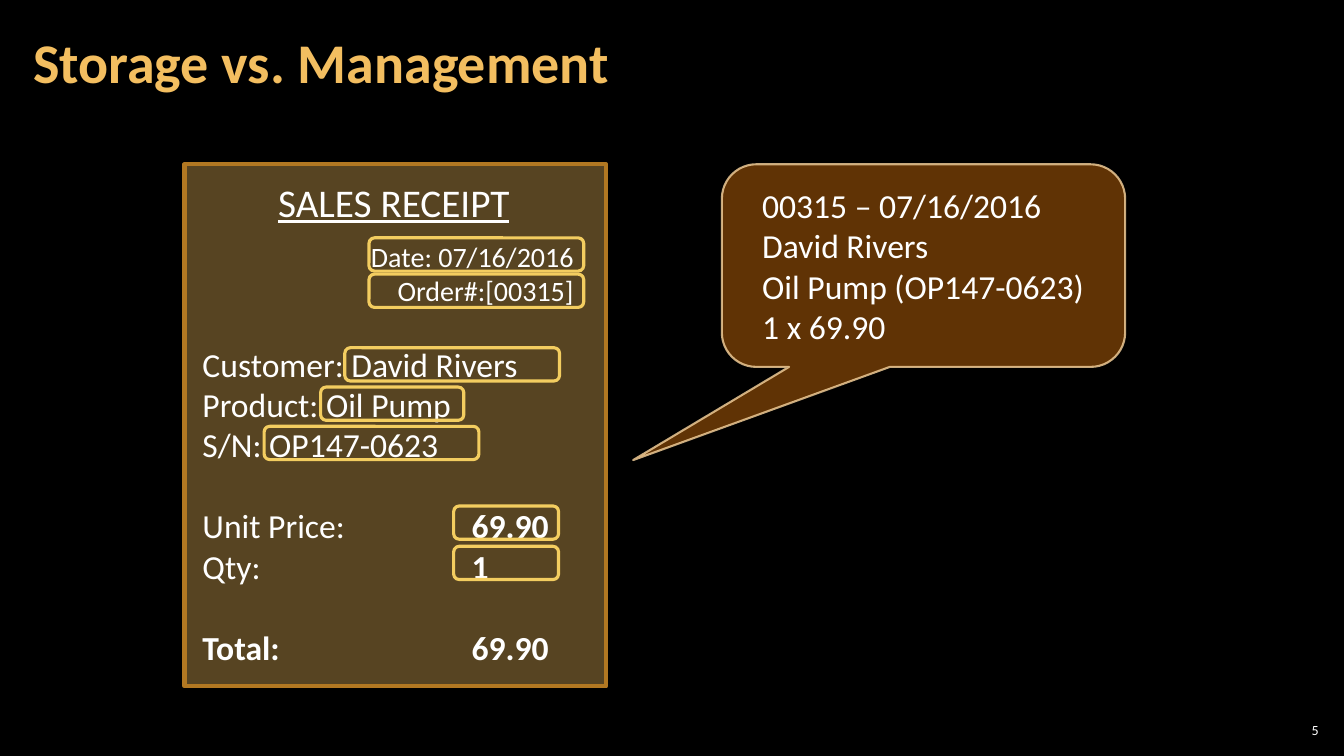
from dataclasses import dataclass, field
from typing import Any

from pptx import Presentation, util as u
from pptx.dml import color
from pptx.enum import shapes, text
from pptx.oxml import ns, xmlchemy

PX = 9144


@dataclass(frozen=True)
class Theme:
    font: str = "Calibri"
    background: str = "000000"
    ink: str = "FFFFFF"
    gold: str = "F3BE60"
    receipt_line: str = "B27822"
    callout: str = "663606"
    callout_line: str = "F8D49E"
    highlight: str = "F3CD60"
    title_size: int = 40
    heading_size: int = 28
    body_size: int = 24
    detail_size: int = 20
    number_size: int = 10
    gap: int = 29


@dataclass(frozen=True)
class Box:
    left: int
    top: int
    width: int
    height: int

    def emu(self) -> list[int]:
        return [side * PX for side in (self.left, self.top, self.width, self.height)]


@dataclass(frozen=True)
class Paint:
    value: str
    percent: int = 100


@dataclass(frozen=True)
class Line:
    label: str
    value: str = ""
    gap: int = 0
    label_bold: bool = False


@dataclass(frozen=True)
class TextBlock:
    box: Box
    lines: list[Line]
    size: int
    frame: dict[str, Any] = field(default_factory=dict)
    paragraph: dict[str, Any] = field(default_factory=dict)
    font: dict[str, Any] = field(default_factory=dict)
    tab: int = 0


THEME = Theme()
RIGHT = {"alignment": text.PP_ALIGN.RIGHT}
LEFT = {"alignment": text.PP_ALIGN.LEFT}


def margins(side: int, end: int) -> dict[str, int]:
    return {
        "margin_left": side * PX,
        "margin_right": side * PX,
        "margin_top": end * PX,
        "margin_bottom": end * PX,
    }


HIGHLIGHTS = [
    Box(366, 236, 213, 33),
    Box(366, 272, 213, 33),
    Box(342, 345, 213, 33),
    Box(318, 384, 142, 33),
    Box(262, 423, 213, 33),
    Box(450, 502, 104, 33),
    Box(450, 542, 104, 33),
]

CALLOUT = TextBlock(
    Box(716, 163, 400, 201),
    [
        Line("00315 – 07/16/2016"),
        Line("David Rivers"),
        Line("Oil Pump (OP147-0623)"),
        Line("1 x 69.90"),
    ],
    THEME.body_size,
    {"vertical_anchor": text.MSO_ANCHOR.MIDDLE, **margins(30, 10)},
    LEFT,
)

TEXT_BLOCKS = [
    TextBlock(
        Box(1265, 714, 47, 21),
        [Line("5")],
        THEME.number_size,
        {"vertical_anchor": text.MSO_ANCHOR.MIDDLE, **margins(4, 4)},
        RIGHT,
    ),
    TextBlock(
        Box(266, 172, 252, 57),
        [Line("SALES RECEIPT")],
        THEME.heading_size,
        {"word_wrap": False},
        font={"underline": True},
    ),
    TextBlock(
        Box(351, 233, 228, 111),
        [Line("Date: 07/16/2016"), Line("Order#:[00315]")],
        THEME.detail_size,
        paragraph=RIGHT,
    ),
    TextBlock(
        Box(191, 336, 402, 333),
        [
            Line("Customer: David Rivers"),
            Line("Product: Oil Pump"),
            Line("S/N: OP147-0623"),
            Line("Unit Price:\t", "69.90", THEME.gap),
            Line("Qty:\t", "1"),
            Line("Total:\t", "69.90", THEME.gap, True),
        ],
        THEME.body_size,
        tab=267,
    ),
]


def assign(target: Any, values: dict[str, Any]) -> None:
    for name, value in values.items():
        setattr(target, name, value)


def apply_color(target: Any, paint: Paint, parent: Any) -> None:
    target.rgb = color.RGBColor.from_string(paint.value)
    if paint.percent < 100:
        node = parent.find(".//" + ns.qn("a:srgbClr"))
        alpha = xmlchemy.OxmlElement("a:alpha")
        alpha.set("val", str(paint.percent * 1000))
        node.append(alpha)


def add_figure(slide: Any, kind: Any, box: Box, fill: Paint | None, line: Paint, weight: float) -> Any:
    shape = slide.shapes.add_shape(kind, *box.emu())
    shape.shadow.inherit = False
    if fill:
        shape.fill.solid()
        properties = shape._element.spPr
        apply_color(shape.fill.fore_color, fill, properties.find(ns.qn("a:solidFill")))
    else:
        shape.fill.background()
    shape.line.width = u.Pt(weight)
    shape.line.fill.solid()
    apply_color(shape.line.color, line, shape._element.spPr.find(ns.qn("a:ln")))
    return shape


def add_tab(paragraph: Any, position: int) -> None:
    tabs = xmlchemy.OxmlElement("a:tabLst")
    tab = xmlchemy.OxmlElement("a:tab")
    tab.set("pos", str(position * PX))
    tab.set("algn", "l")
    tabs.append(tab)
    paragraph._p.get_or_add_pPr().append(tabs)


def write_text(shape: Any, block: TextBlock, ink: str = THEME.ink) -> None:
    frame = shape.text_frame
    assign(frame, {"word_wrap": True, "auto_size": text.MSO_AUTO_SIZE.NONE, **block.frame})
    for index, line in enumerate(block.lines):
        paragraph = frame.add_paragraph() if index else frame.paragraphs[0]
        if block.tab and line.value:
            add_tab(paragraph, block.tab)
        assign(paragraph, block.paragraph)
        if line.gap:
            paragraph.space_before = u.Pt(line.gap)
        for words, bold in ((line.label, line.label_bold), (line.value, True)):
            if words:
                run = paragraph.add_run()
                run.text = words
                style = {"name": THEME.font, "size": u.Pt(block.size), "bold": bold}
                assign(run.font, {**style, **block.font})
                run.font.color.rgb = color.RGBColor.from_string(ink)


def add_title(slide: Any) -> None:
    block = TextBlock(
        Box(21, 4, 1047, 121),
        [Line("Storage vs. Management", label_bold=True)],
        THEME.title_size,
        {"vertical_anchor": text.MSO_ANCHOR.MIDDLE, **margins(12, 4)},
        {**LEFT, "line_spacing": 0.9},
    )
    title = slide.shapes.title
    assign(title, dict(zip(("left", "top", "width", "height"), block.box.emu())))
    write_text(title, block, THEME.gold)


def main() -> None:
    presentation = Presentation()
    assign(presentation, {"slide_width": 1333 * PX, "slide_height": 750 * PX})
    slide = presentation.slides.add_slide(presentation.slide_layouts[5])
    slide.background.fill.solid()
    slide.background.fill.fore_color.rgb = color.RGBColor.from_string(THEME.background)
    add_title(slide)
    kinds = shapes.MSO_SHAPE
    add_figure(slide, kinds.RECTANGLE, Box(183, 163, 418, 518), Paint(THEME.gold, 36), Paint(THEME.receipt_line), 3)
    for block in TEXT_BLOCKS:
        write_text(slide.shapes.add_textbox(*block.box.emu()), block)
    callout = add_figure(
        slide, kinds.ROUNDED_RECTANGULAR_CALLOUT, CALLOUT.box,
        Paint(THEME.callout, 95), Paint(THEME.callout_line, 80), 1.5,
    )
    for index, value in enumerate((-0.72, 0.96, 0.17)):
        callout.adjustments[index] = value
    write_text(callout, CALLOUT)
    for box in HIGHLIGHTS:
        add_figure(slide, kinds.ROUNDED_RECTANGLE, box, None, Paint(THEME.highlight), 2.25)
    presentation.save("out.pptx")


if __name__ == "__main__":
    main()
